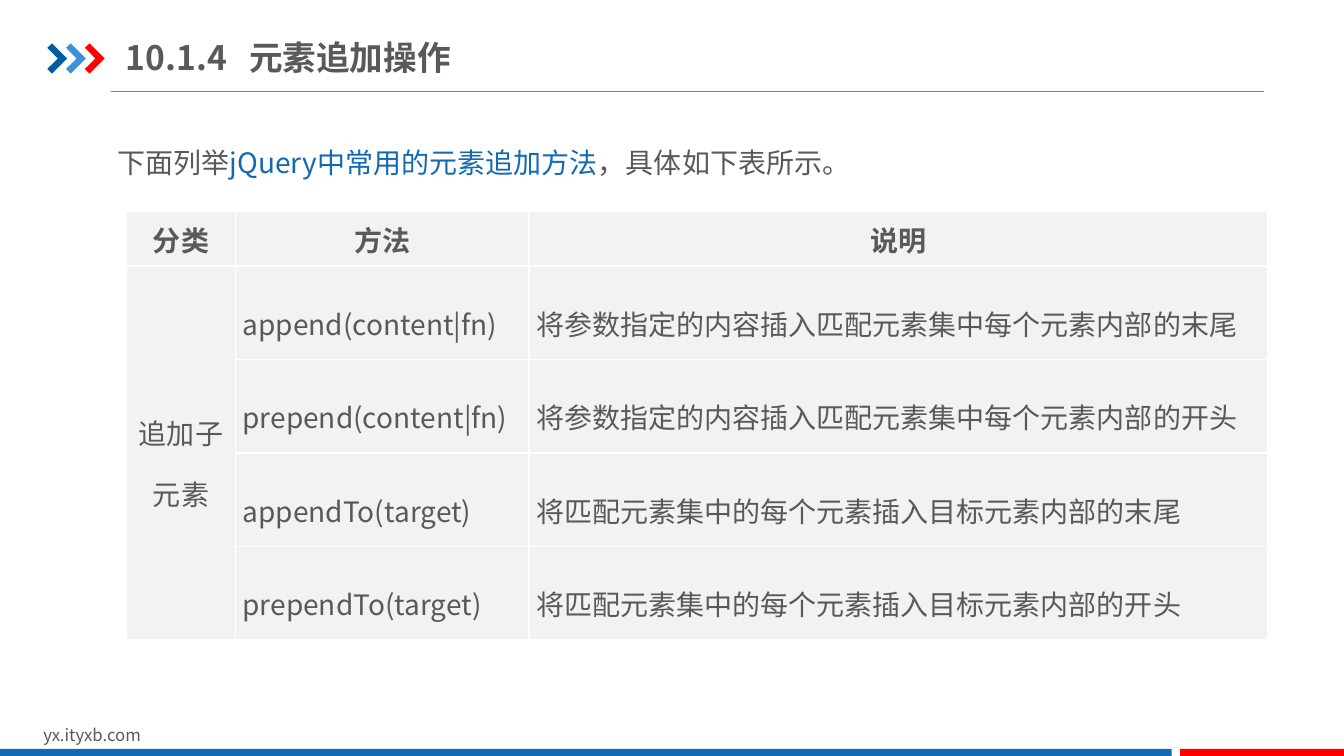
from dataclasses import dataclass

import pptx
import pptx.dml.color
import pptx.enum.shapes
import pptx.enum.text
import pptx.oxml
import pptx.oxml.ns
import pptx.util
from pptx.dml.color import RGBColor
from pptx.enum.text import MSO_ANCHOR, MSO_AUTO_SIZE, PP_ALIGN
from pptx.util import Pt

FONT = "Noto Sans CJK SC"
GREY = RGBColor(0x59, 0x59, 0x59)
RULE_GREY = RGBColor(0x80, 0x80, 0x80)
CELL_GREY = RGBColor(0xF2, 0xF2, 0xF2)
BLUE = RGBColor(0x13, 0x69, 0xB2)
DARK_BLUE = RGBColor(0x00, 0x5D, 0xA2)
LIGHT_BLUE = RGBColor(0x39, 0x92, 0xDB)
RED = RGBColor(0xFF, 0x00, 0x00)
WHITE = RGBColor(0xFF, 0xFF, 0xFF)

CHEVRON_OUTLINE = [(0, 3.2), (3.4, 0), (14.2, 10.8), (3.4, 21.6), (0, 18.2), (7.6, 10.8)]
CELL_FORMAT = {
    "vertical_anchor": MSO_ANCHOR.MIDDLE,
    "margin_left": Pt(5),
    "margin_right": Pt(5),
    "margin_top": 0,
    "margin_bottom": 0,
}
TITLE_FORMAT = {
    "vertical_anchor": MSO_ANCHOR.MIDDLE,
    "margin_left": 0,
    "margin_right": 0,
    "margin_top": Pt(5),
    "margin_bottom": Pt(5),
    "word_wrap": False,
    "auto_size": MSO_AUTO_SIZE.NONE,
}


@dataclass
class Chevron:
    left: float
    colour: RGBColor


@dataclass
class Bar:
    left: float
    width: float
    colour: RGBColor


@dataclass
class Phrase:
    text: str
    colour: RGBColor = GREY


@dataclass
class Method:
    call: str
    meaning: str


CHEVRONS = [Chevron(33.8 + 13.4 * step, colour)
            for step, colour in enumerate([DARK_BLUE, LIGHT_BLUE, RED])]
BARS = [Bar(0, 837, BLUE), Bar(843, 117, RED)]
INTRO = [
    Phrase("下面列举"),
    Phrase("jQuery中常用的元素追加方法", BLUE),
    Phrase("，具体如下表所示。"),
]
HEADINGS = ["分类", "方法", "说明"]
METHODS = [
    Method("append(content|fn)", "将参数指定的内容插入匹配元素集中每个元素内部的末尾"),
    Method("prepend(content|fn)", "将参数指定的内容插入匹配元素集中每个元素内部的开头"),
    Method("appendTo(target)", "将匹配元素集中的每个元素插入目标元素内部的末尾"),
    Method("prependTo(target)", "将匹配元素集中的每个元素插入目标元素内部的开头"),
]


def apply_format(target, values: dict) -> None:
    for attribute, value in values.items():
        setattr(target, attribute, value)


def add_phrase(paragraph, phrase: Phrase, size: float, bold: bool = False) -> None:
    run = paragraph.add_run()
    run.text = phrase.text
    apply_format(run.font, {"name": FONT, "size": Pt(size), "bold": bold})
    run.font.color.rgb = phrase.colour
    # East Asian characters take their typeface from a:ea
    east_asian = pptx.oxml.parse_xml(
        f'<a:ea {pptx.oxml.ns.nsdecls("a")} typeface="{FONT}"/>')
    run.font._element.find(pptx.oxml.ns.qn("a:latin")).addnext(east_asian)


def paint(shape, colour: RGBColor) -> None:
    shape.shadow.inherit = False
    shape.fill.solid()
    shape.fill.fore_color.rgb = colour
    shape.line.fill.background()


def add_chevron(shapes, chevron: Chevron) -> None:
    points = [(Pt(chevron.left + x), Pt(31 + y)) for x, y in CHEVRON_OUTLINE]
    builder = shapes.build_freeform(*points[0])
    builder.add_line_segments(points[1:], close=True)
    paint(builder.convert_to_shape(), chevron.colour)


def add_bar(shapes, bar: Bar) -> None:
    rectangle = shapes.add_shape(pptx.enum.shapes.MSO_SHAPE.RECTANGLE,
                                 Pt(bar.left), Pt(535), Pt(bar.width), Pt(5))
    paint(rectangle, bar.colour)


def add_heading_rule(shapes) -> None:
    rule = shapes.add_connector(pptx.enum.shapes.MSO_CONNECTOR.STRAIGHT,
                                Pt(79.2), Pt(65.5), Pt(903), Pt(65.5))
    rule.line.color.rgb = RULE_GREY
    rule.line.width = Pt(0.75)
    rule._element.spPr.append(
        pptx.oxml.parse_xml(f'<a:effectLst {pptx.oxml.ns.nsdecls("a")}/>'))


def add_text(shapes, box: tuple[float, float, float, float], phrases: list[Phrase],
             size: float, line_spacing: float = 1.0) -> None:
    frame = shapes.add_textbox(*map(Pt, box)).text_frame
    frame.word_wrap = True
    paragraph = frame.paragraphs[0]
    paragraph.line_spacing = line_spacing
    for phrase in phrases:
        add_phrase(paragraph, phrase, size)


def fill_title(title) -> None:
    apply_format(title, {"left": Pt(90), "top": Pt(21), "width": Pt(237), "height": Pt(39.6)})
    apply_format(title.text_frame, TITLE_FORMAT)
    paragraph = title.text_frame.paragraphs[0]
    paragraph.alignment = PP_ALIGN.LEFT
    paragraph._p.get_or_add_pPr().append(pptx.oxml.parse_xml(
        f'<a:tabLst {pptx.oxml.ns.nsdecls("a")}>'
        f'<a:tab pos="{Pt(88)}" algn="l"/></a:tabLst>'))
    add_phrase(paragraph, Phrase("10.1.4\t元素追加操作"), 24, bold=True)


def style_cell(cell) -> None:
    apply_format(cell, CELL_FORMAT)
    properties = cell._tc.get_or_add_tcPr()
    for side in "LRTB":
        properties.append(pptx.oxml.parse_xml(
            f'<a:ln{side} {pptx.oxml.ns.nsdecls("a")} w="{Pt(1)}">'
            f'<a:solidFill><a:srgbClr val="{WHITE}"/></a:solidFill></a:ln{side}>'))
    cell.fill.solid()
    cell.fill.fore_color.rgb = CELL_GREY


def write_cell(cell, text: str, heading: bool = False, centred: bool = False) -> None:
    paragraph = cell.text_frame.paragraphs[0]
    paragraph.alignment = PP_ALIGN.CENTER if centred else PP_ALIGN.LEFT
    if heading:
        apply_format(paragraph._p.get_or_add_pPr(), {"marL": 0, "indent": Pt(10)})
    else:
        paragraph.line_spacing = 1.5
    add_phrase(paragraph, Phrase(text), 20, bold=heading)


def add_method_table(shapes) -> None:
    table = shapes.add_table(len(METHODS) + 1, len(HEADINGS),
                             Pt(90.3), Pt(151.2), Pt(815), Pt(306)).table
    apply_format(table, {"first_row": False, "horz_banding": False})
    for column, width in zip(table.columns, [78, 209.6, 527.4]):
        column.width = Pt(width)
    for row, height in zip(table.rows, [38.8] + [66.8] * len(METHODS)):
        row.height = Pt(height)
    for cell in table.iter_cells():
        style_cell(cell)
    for column, heading in enumerate(HEADINGS):
        write_cell(table.cell(0, column), heading, heading=True, centred=True)
    category = table.cell(1, 0)
    category.merge(table.cell(len(METHODS), 0))
    write_cell(category, "追加子元素", centred=True)
    for row, method in enumerate(METHODS, start=1):
        write_cell(table.cell(row, 1), method.call)
        write_cell(table.cell(row, 2), method.meaning)


def main() -> None:
    deck = pptx.Presentation()
    apply_format(deck, {"slide_width": Pt(960), "slide_height": Pt(540)})
    slide = deck.slides.add_slide(deck.slide_layouts.get_by_name("Title Only"))
    shapes = slide.shapes
    add_heading_rule(shapes)
    for chevron in CHEVRONS:
        add_chevron(shapes, chevron)
    add_text(shapes, (23.8, 514, 229, 21.6), [Phrase("yx.ityxb.com")], 12)
    for bar in BARS:
        add_bar(shapes, bar)
    add_text(shapes, (77, 88.6, 630, 44), INTRO, 20, line_spacing=1.5)
    add_method_table(shapes)
    fill_title(shapes.title)
    deck.save("out.pptx")


if __name__ == "__main__":
    main()
